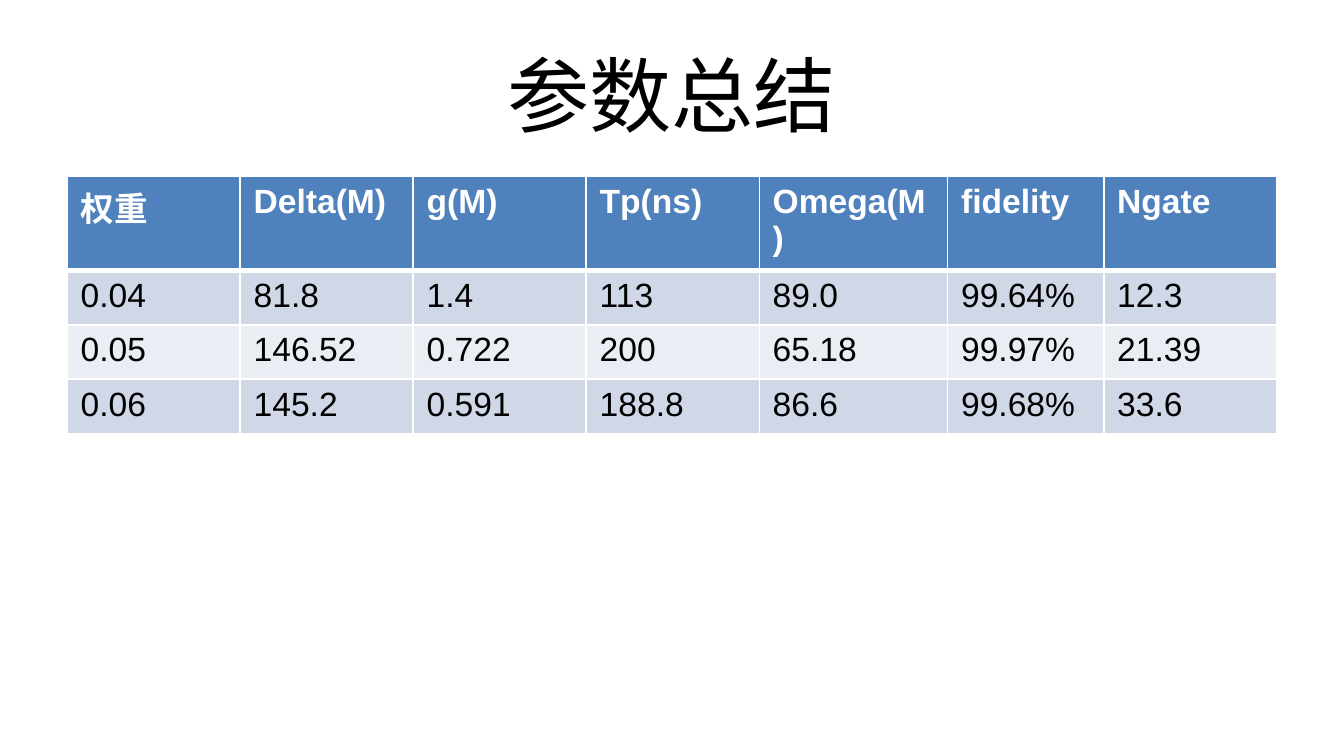
import dataclasses

import lxml.etree
import pptx
import pptx.dml.color
import pptx.enum.text
import pptx.oxml.ns
import pptx.util
from pptx.util import Cm


@dataclasses.dataclass(frozen=True)
class Theme:
    font: str = "Arial"
    title_size: int = 44
    table_size: int = 18
    text: str = "000000"
    header_text: str = "FFFFFF"
    header_fill: str = "4F81BD"
    band_fills: tuple = ("D0D8E8", "E9EDF4")
    border: str = "FFFFFF"
    border_width: int = 1
    header_rule_width: int = 3


THEME = Theme()
HEADER = ["权重", "Delta(M)", "g(M)", "Tp(ns)", "Omega(M)", "fidelity", "Ngate"]
RESULTS = [
    ["0.04", "81.8", "1.4", "113", "89.0", "99.64%", "12.3"],
    ["0.05", "146.52", "0.722", "200", "65.18", "99.97%", "21.39"],
    ["0.06", "145.2", "0.591", "188.8", "86.6", "99.68%", "33.6"],
]
COLUMN_WIDTHS = [3.27] * 4 + [3.56, 2.95, 3.27]
ROW_HEIGHT = 1.03


def rgb(color):
    return pptx.dml.color.RGBColor.from_string(color)


def add_run(paragraph, text, size, color, bold=False):
    run = paragraph.add_run()
    run.text = text
    run.font.name = THEME.font
    run.font.size = pptx.util.Pt(size)
    run.font.bold = bold
    run.font.color.rgb = rgb(color)


def add_title(slide, text):
    shape = slide.shapes.add_textbox(Cm(1.27), Cm(0.58), Cm(22.86), Cm(2.39))
    frame = shape.text_frame
    frame.word_wrap = True
    frame.vertical_anchor = pptx.enum.text.MSO_ANCHOR.MIDDLE
    paragraph = frame.paragraphs[0]
    paragraph.alignment = pptx.enum.text.PP_ALIGN.CENTER
    add_run(paragraph, text, THEME.title_size, THEME.text)


def add_border(cell, side, width):
    qualified = pptx.oxml.ns.qn
    properties = cell._tc.get_or_add_tcPr()
    line = lxml.etree.SubElement(
        properties, qualified(f"a:ln{side}"), w=str(pptx.util.Pt(width))
    )
    fill = lxml.etree.SubElement(line, qualified("a:solidFill"))
    lxml.etree.SubElement(fill, qualified("a:srgbClr"), val=THEME.border)


def fill_cell(cell, text, row_index):
    is_header = row_index == 0
    for side in "LRTB":
        below_header = (is_header and side == "B") or (row_index == 1 and side == "T")
        width = THEME.header_rule_width if below_header else THEME.border_width
        add_border(cell, side, width)
    band_fill = THEME.band_fills[(row_index - 1) % len(THEME.band_fills)]
    cell.fill.solid()
    cell.fill.fore_color.rgb = rgb(THEME.header_fill if is_header else band_fill)
    color = THEME.header_text if is_header else THEME.text
    paragraph = cell.text_frame.paragraphs[0]
    add_run(paragraph, text, THEME.table_size, color, bold=is_header)


def add_results_table(slide, rows):
    shape = slide.shapes.add_table(
        len(rows), len(COLUMN_WIDTHS), Cm(1.27), Cm(3.33),
        Cm(sum(COLUMN_WIDTHS)), Cm(ROW_HEIGHT * len(rows)),
    )
    table = shape.table
    for column, width in zip(table.columns, COLUMN_WIDTHS):
        column.width = Cm(width)
    for row_index, values in enumerate(rows):
        table.rows[row_index].height = Cm(ROW_HEIGHT)
        for column_index, text in enumerate(values):
            fill_cell(table.cell(row_index, column_index), text, row_index)


def main():
    presentation = pptx.Presentation()
    presentation.slide_width = Cm(25.4)
    presentation.slide_height = Cm(14.29)
    slide = presentation.slides.add_slide(presentation.slide_layouts[6])
    add_title(slide, "参数总结")
    add_results_table(slide, [HEADER] + RESULTS)
    presentation.save("out.pptx")


if __name__ == "__main__":
    main()
